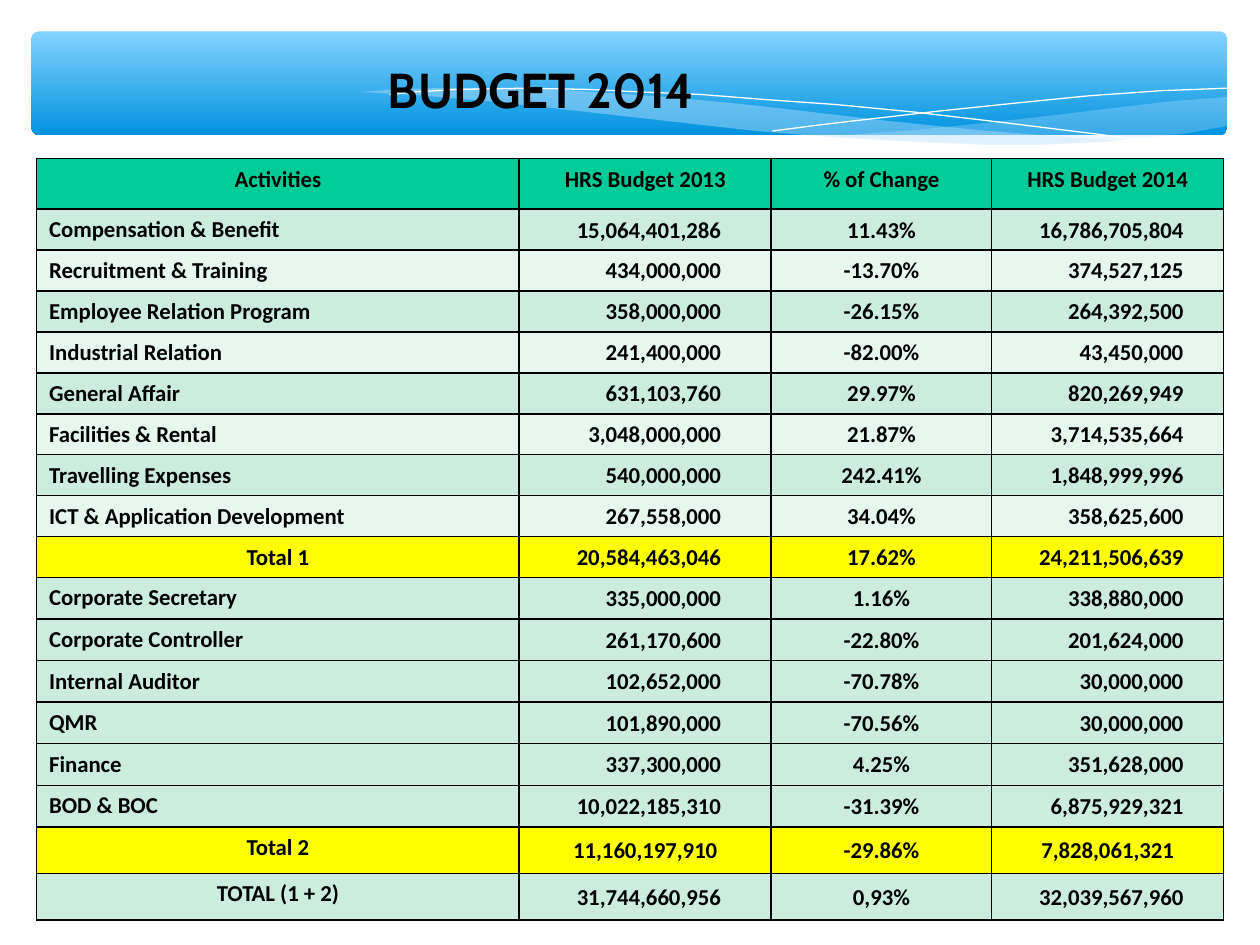
from lxml.etree import SubElement
from pptx import Presentation
from pptx.dml.color import RGBColor
from pptx.enum.shapes import MSO_SHAPE
from pptx.enum.text import MSO_ANCHOR, PP_ALIGN
from pptx.oxml.ns import qn
from pptx.util import Inches, Pt


def color(hex_string):
    return RGBColor.from_string(hex_string)


def write(frame, text, font="Calibri", size=13, align=PP_ALIGN.LEFT, spacing=None):
    paragraph = frame.paragraphs[0]
    paragraph.alignment = align
    paragraph.line_spacing = spacing
    run = paragraph.add_run()
    run.text = text
    run.font.name = font
    run.font.size = Pt(size)
    run.font.bold = True
    run.font.color.rgb = color("000000")


presentation = Presentation()
presentation.slide_width = Inches(10)
presentation.slide_height = Inches(7.5)
slide = presentation.slides.add_slide(presentation.slide_layouts[5])

# Banner
banner = slide.shapes.add_shape(
    MSO_SHAPE.ROUNDED_RECTANGLE, Inches(0.25), Inches(0.25), Inches(9.49), Inches(0.82))
banner.shadow.inherit = False
banner.adjustments[0] = 0.07
banner.line.fill.background()
banner.fill.gradient()
banner.fill.gradient_angle = 270
for stop, position, shade in zip(banner.fill.gradient_stops, (0, 1), ("83D3FE", "0293E0")):
    stop.position = position
    stop.color.rgb = color(shade)

# Waves: outline points and opacity in percent, None for a white line
waves = [
    ([(9.74, 0.77), (9.33, 0.8), (8.9, 0.85), (8.32, 0.92), (7.78, 0.98), (7.29, 1.03),
      (6.61, 1.08), (7.05, 1.11), (7.44, 1.13), (7.92, 1.14), (8.43, 1.14), (8.79, 1.12),
      (9.12, 1.09), (9.41, 1.06), (9.74, 1)], 29),
    ([(8.91, 1.12), (8.36, 1.08), (7.74, 1.03), (7.05, 0.96), (6.28, 0.87), (5.83, 0.82),
      (5.4, 0.78), (5.01, 0.75), (4.41, 0.71), (3.99, 0.7), (3.44, 0.7), (3.13, 0.71),
      (2.86, 0.73), (3.23, 0.75), (3.62, 0.78), (4.04, 0.82), (4.49, 0.87), (5.29, 0.96),
      (6, 1.04), (6.49, 1.08), (6.94, 1.11), (7.35, 1.13), (7.83, 1.15), (8.27, 1.15),
      (8.65, 1.13)], 40),
    ([(3.09, 0.75), (3.28, 0.73), (3.63, 0.71), (4.16, 0.7), (4.68, 0.71), (5.09, 0.73),
      (5.56, 0.75), (6.07, 0.79), (6.64, 0.83), (7.26, 0.89), (7.94, 0.97), (8.67, 1.06),
      (9.06, 1.11)], None),
    ([(6.13, 1.04), (6.52, 0.99), (6.95, 0.94), (7.47, 0.88), (8.05, 0.82), (8.65, 0.76),
      (8.94, 0.74), (9.22, 0.72), (9.49, 0.71), (9.74, 0.7)], None),
]
for points, opacity in waves:
    start, *rest = [(Inches(x), Inches(y)) for x, y in points]
    outline = slide.shapes.build_freeform(*start)
    outline.add_line_segments(rest, close=opacity is not None)
    wave = outline.convert_to_shape()
    wave.shadow.inherit = False
    if opacity is None:
        wave.fill.background()
        wave.line.color.rgb = color("FFFFFF")
        wave.line.width = Pt(0.75)
    else:
        wave.line.fill.background()
        wave.fill.solid()
        wave.fill.fore_color.rgb = color("C6E7FC")
        tint = wave.element.spPr.find(qn("a:solidFill"))[0]
        SubElement(tint, qn("a:alpha"), val=str(opacity * 1000))

# Title, brought in front of the banner
title = slide.shapes.title
title.left, title.top = Inches(0.33), Inches(0.42)
title.width, title.height = Inches(7.92), Inches(0.67)
title.text_frame.vertical_anchor = MSO_ANCHOR.TOP
write(title.text_frame, "BUDGET 2014", font="Cabin", size=28, align=PP_ALIGN.CENTER)
title.element.getparent().append(title.element)

# Budget table
budget = [
    ("Activities", "HRS Budget 2013", "% of Change", "HRS Budget 2014"),
    ("Compensation & Benefit", "15,064,401,286", "11.43%", "16,786,705,804"),
    ("Recruitment & Training", "434,000,000", "-13.70%", "374,527,125"),
    ("Employee Relation Program", "358,000,000", "-26.15%", "264,392,500"),
    ("Industrial Relation", "241,400,000", "-82.00%", "43,450,000"),
    ("General Affair", "631,103,760", "29.97%", "820,269,949"),
    ("Facilities & Rental", "3,048,000,000", "21.87%", "3,714,535,664"),
    ("Travelling Expenses", "540,000,000", "242.41%", "1,848,999,996"),
    ("ICT & Application Development", "267,558,000", "34.04%", "358,625,600"),
    ("Total 1", "20,584,463,046", "17.62%", "24,211,506,639"),
    ("Corporate Secretary", "335,000,000", "1.16%", "338,880,000"),
    ("Corporate Controller", "261,170,600", "-22.80%", "201,624,000"),
    ("Internal Auditor", "102,652,000", "-70.78%", "30,000,000"),
    ("QMR", "101,890,000", "-70.56%", "30,000,000"),
    ("Finance", "337,300,000", "4.25%", "351,628,000"),
    ("BOD & BOC", "10,022,185,310", "-31.39%", "6,875,929,321"),
    ("Total 2", "11,160,197,910", "-29.86%", "7,828,061,321"),
    ("TOTAL (1 + 2)", "31,744,660,956", "0,93%", "32,039,567,960"),
]
column_widths = [3.83, 2, 1.75, 1.84]
row_heights = [0.4] + [0.32] * 9 + [0.33] * 6 + [0.37] * 2
amount_margins = {1: 0.4, 3: 0.32}

table = slide.shapes.add_table(
    len(budget), len(column_widths), Inches(0.29), Inches(1.26),
    Inches(sum(column_widths)), Inches(sum(row_heights))).table
table.first_row = table.horz_banding = False
for column, width in zip(table.columns, column_widths):
    column.width = Inches(width)

for r, (entries, height) in enumerate(zip(budget, row_heights)):
    table.rows[r].height = Inches(height)
    is_total = entries[0].lower().startswith("total")
    if r == 0:
        row_fill = "00CC99"
    elif entries[0] in ("Total 1", "Total 2"):
        row_fill = "FFFF00"
    else:
        row_fill = "E7F6EF" if r < 9 and r % 2 == 0 else "CBECDE"

    for c, entry in enumerate(entries):
        cell = table.cell(r, c)
        for side in ("a:lnL", "a:lnR", "a:lnT", "a:lnB"):
            border = SubElement(cell._tc.get_or_add_tcPr(), qn(side), w=str(Pt(1)))
            SubElement(SubElement(border, qn("a:solidFill")), qn("a:srgbClr"), val="000000")
        cell.fill.solid()
        cell.fill.fore_color.rgb = color(row_fill)

        if r == 0 or c == 0:
            centred = r == 0 or is_total
            write(cell.text_frame, entry, spacing=1.02,
                  align=PP_ALIGN.CENTER if centred else PP_ALIGN.LEFT)
            continue
        cell.vertical_anchor = MSO_ANCHOR.MIDDLE
        cell.margin_left = cell.margin_right = cell.margin_top = Inches(0.01)
        cell.margin_bottom = 0
        if c in amount_margins and entries[0] != "Total 2":
            cell.margin_right = Inches(amount_margins[c])
            write(cell.text_frame, entry, align=PP_ALIGN.RIGHT)
        else:
            write(cell.text_frame, entry, align=PP_ALIGN.CENTER)

presentation.save("out.pptx")
